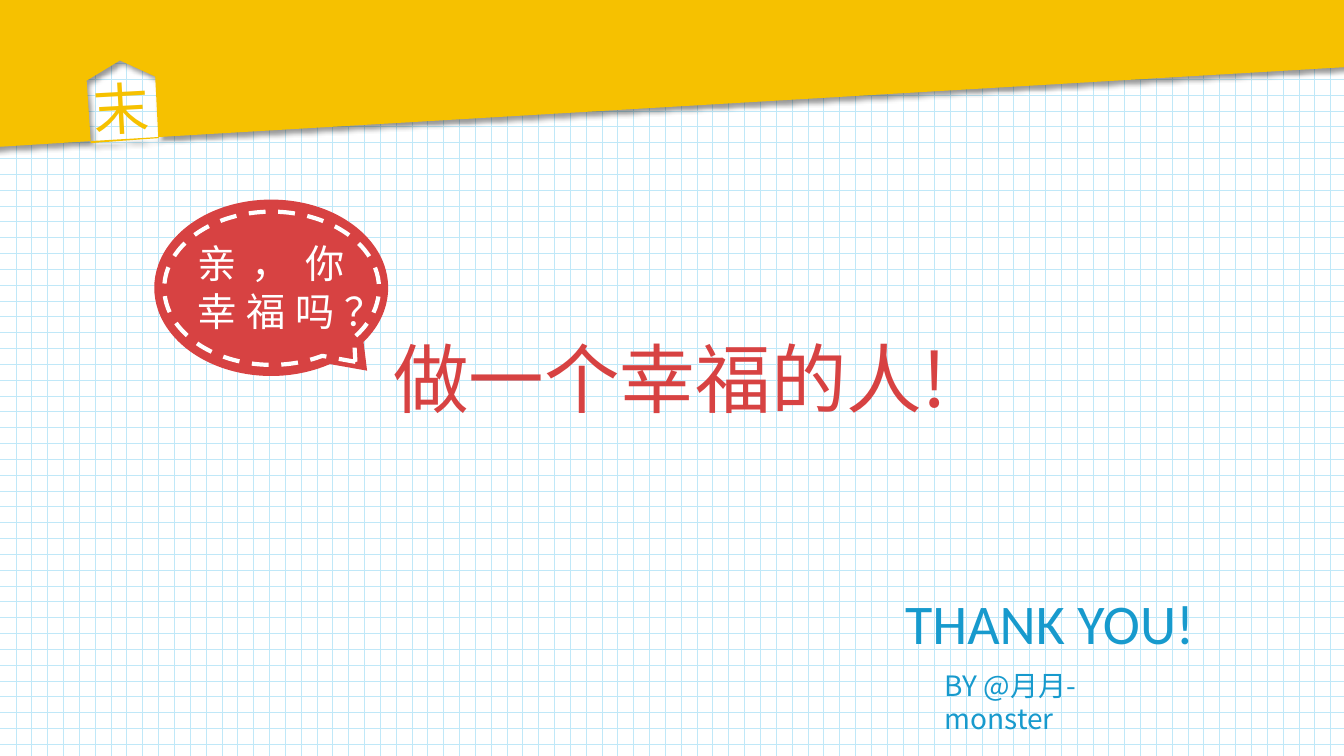
from lxml import etree
from pptx import Presentation
from pptx import util as u
from pptx.dml.color import RGBColor
from pptx.enum import dml, shapes, text
from pptx.oxml.ns import qn

COLORS = {
    "yellow": "F6C100",
    "red": "D74242",
    "blue": "179ACD",
    "white": "FFFFFF",
    "grid": "C0E8F8",
    "shadow": "000000",
}
LATIN = "Calibri"
CHINESE = "Noto Sans CJK SC"
BUBBLE_FONT = "Noto Sans CJK JP"


class ClosingSlide:
    def __init__(self, presentation):
        self.slide = presentation.slides.add_slide(presentation.slide_layouts[6])

    def color(self, name):
        return RGBColor.from_string(COLORS[name])

    def grid_background(self):
        fill = self.slide.background.fill
        fill.patterned()
        fill.pattern = dml.MSO_PATTERN.DOTTED_GRID
        fill.fore_color.rgb = self.color("grid")
        fill.back_color.rgb = self.color("white")

    def outline(self, contours, fill):
        """Draw closed contours given in inches."""
        points = [[(x * 100, y * 100) for x, y in contour] for contour in contours]
        builder = self.slide.shapes.build_freeform(*points[0][0], scale=u.Inches(0.01))
        builder.add_line_segments(points[0][1:], close=True)
        for contour in points[1:]:
            builder.move_to(*contour[0])
            builder.add_line_segments(contour[1:], close=True)
        shape = builder.convert_to_shape()
        shape.fill.solid()
        shape.fill.fore_color.rgb = self.color(fill)
        shape.line.fill.background()
        self.drop_shadow(shape)

    def drop_shadow(self, shape):
        shape.shadow.inherit = False
        effects = shape._element.spPr.find(qn("a:effectLst"))
        shadow = etree.SubElement(
            effects, qn("a:outerShdw"), blurRad=str(u.Pt(4)), dist=str(u.Pt(3)),
            dir=str(45 * 60000), algn="tl", rotWithShape="0")
        shade = etree.SubElement(shadow, qn("a:srgbClr"), val=COLORS["shadow"])
        etree.SubElement(shade, qn("a:alpha"), val="40000")

    def bubble(self, box, tail, fill=None, dashes=None):
        shape = self.slide.shapes.add_shape(
            shapes.MSO_SHAPE.OVAL_CALLOUT, *map(u.Inches, box))
        shape.shadow.inherit = False
        shape.adjustments[0], shape.adjustments[1] = tail
        if fill:
            shape.fill.solid()
            shape.fill.fore_color.rgb = self.color(fill)
        else:
            shape.fill.background()
        if dashes:
            shape.line.color.rgb = self.color(dashes)
            shape.line.width = u.Pt(3)
            shape.line.dash_style = dml.MSO_LINE.DASH
        else:
            shape.line.fill.background()

    def label(self, words, box, size, color, font, wrap=True, rotation=0, align=None):
        shape = self.slide.shapes.add_textbox(*map(u.Inches, box))
        shape.rotation = rotation
        shape.text_frame.word_wrap = wrap
        paragraph = shape.text_frame.paragraphs[0]
        paragraph.text = words
        paragraph.alignment = align
        paragraph.font.size = u.Pt(size)
        paragraph.font.name = font
        paragraph.font.color.rgb = self.color(color)
        if font != LATIN:
            latin = paragraph.font._element.find(qn("a:latin"))
            latin.addnext(latin.makeelement(qn("a:ea"), {"typeface": font}))


def main():
    presentation = Presentation()
    presentation.slide_width = u.Inches(13.33)
    presentation.slide_height = u.Inches(7.5)
    closing = ClosingSlide(presentation)
    closing.grid_background()

    # Slanted band with a house-shaped notch
    sliver = [(1.57, 1.36), (1.58, 1.37), (0.9, 1.42), (0.9, 1.4)]
    band = [(13.54, -0.84), (13.62, 0.65), (1.57, 1.36), (1.54, 0.76), (1.19, 0.6),
            (0.86, 0.8), (0.9, 1.4), (-0.22, 1.47), (-0.31, -0.01)]
    closing.outline([sliver, band], "yellow")
    closing.label("末", (0.83, 0.69, 0.76, 0.77), 40, "yellow", LATIN,
                  wrap=False, rotation=356.9)

    # Main message
    closing.label("做一个幸福的人!", (3.8, 3.24, 7.14, 1.01), 54, "red", CHINESE)

    # Stitched speech bubble
    closing.bubble((1.53, 1.98, 2.32, 1.75), (0.41, 0.47), fill="red")
    closing.bubble((1.63, 2.1, 2.13, 1.52), (0.39, 0.48), dashes="white")
    closing.label("亲，你幸福吗？", (1.86, 2.33, 1.66, 1.04), 28, "white", BUBBLE_FONT,
                  align=text.PP_ALIGN.JUSTIFY)

    # Thanks and author
    closing.label("THANK YOU!", (8.88, 5.79, 3.1, 0.77), 40, "blue", LATIN, wrap=False)
    closing.label("BY @月月-monster", (9.27, 6.58, 2.5, 0.44), 20, "blue", CHINESE)

    presentation.save("out.pptx")


if __name__ == "__main__":
    main()
